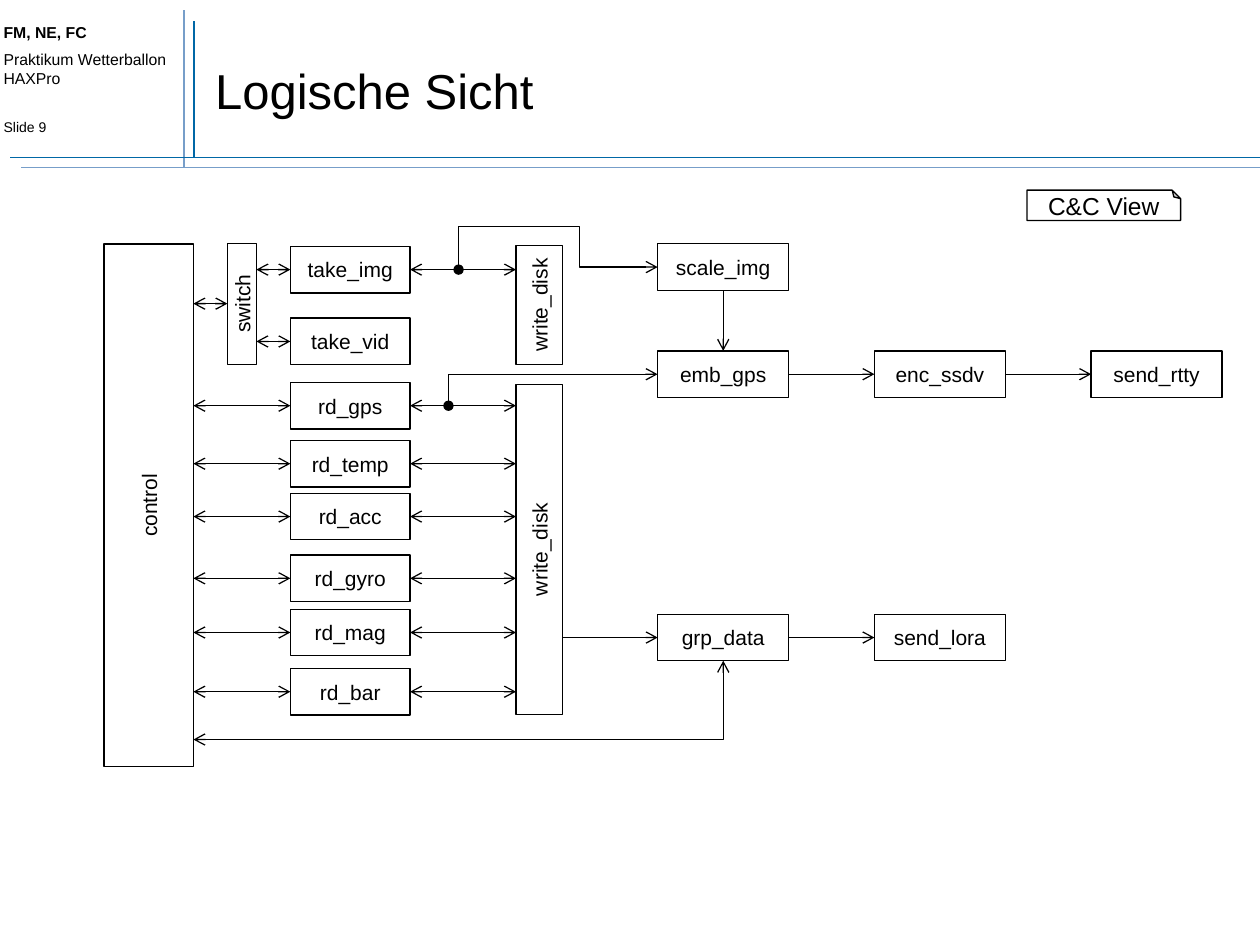
from dataclasses import dataclass

from lxml.etree import SubElement
from pptx import Presentation
from pptx.dml.color import RGBColor
from pptx.enum.shapes import MSO_CONNECTOR as Connector, MSO_SHAPE as Shape
from pptx.enum.text import MSO_ANCHOR as Anchor, PP_ALIGN as Align
from pptx.oxml.ns import qn
from pptx.util import Inches, Pt


@dataclass(frozen=True)
class Theme:
    font: str = "Arial"
    ink: RGBColor = RGBColor(0x00, 0x00, 0x00)
    paper: RGBColor = RGBColor(0xFF, 0xFF, 0xFF)
    dark_rule: RGBColor = RGBColor(0x00, 0x67, 0xA6)
    light_rule: RGBColor = RGBColor(0x77, 0x9E, 0xC9)
    title: int = 28
    view: int = 14
    label: int = 12
    header: int = 9
    number: int = 8
    outline: float = 0.75
    rule: float = 1


theme = Theme()
presentation = Presentation()
presentation.slide_width, presentation.slide_height = Inches(10), Inches(7.5)
slide = presentation.slides.add_slide(presentation.slide_layouts[6])
shapes = slide.shapes


def write(paragraph, text, size, bold=False):
    paragraph.text = text
    font = paragraph.font
    font.name, font.size, font.bold = theme.font, Pt(size), bold
    font.color.rgb = theme.ink


def connect(start, end, head=None, tail=None, preset="line", color=theme.ink, width=theme.outline):
    """Draw a line between two (x, y) points in inches; head sits at the start."""
    kind = Connector.STRAIGHT if preset == "line" else Connector.ELBOW
    line = shapes.add_connector(kind, *map(Inches, (*start, *end)))
    line.line.color.rgb = color
    line.line.width = Pt(width)
    properties = line._element.spPr
    properties.find(qn("a:prstGeom")).set("prst", preset)
    outline = properties.find(qn("a:ln"))
    for tag, ending in (("a:headEnd", head), ("a:tailEnd", tail)):
        if ending:
            SubElement(outline, qn(tag), type=ending)
    SubElement(properties, qn("a:effectLst"))


# Header rules, title and course details
for start, end, color in (
    ((1.54, 1.25), (1.54, 0.17), theme.dark_rule),
    ((1.46, 1.33), (1.46, 0.08), theme.light_rule),
    ((0.08, 1.25), (10, 1.25), theme.dark_rule),
    ((0.17, 1.33), (10, 1.33), theme.light_rule),
):
    connect(start, end, color=color, width=theme.rule)

title = shapes.add_textbox(*map(Inches, (1.61, 0.25, 8.27, 0.92))).text_frame
title.word_wrap = True
title.vertical_anchor = Anchor.MIDDLE
write(title.paragraphs[0], "Logische Sicht", theme.title)

header = shapes.add_textbox(*map(Inches, (-0.07, 0.13, 1.61, 1.04))).text_frame
header.word_wrap = True
for index, (text, size, bold, gap) in enumerate((
    ("FM, NE, FC", theme.header, True, 0),
    ("Praktikum Wetterballon HAXPro", theme.header, False, 4.5),
    ("Slide 9", theme.number, False, 18),
)):
    paragraph = header.add_paragraph() if index else header.paragraphs[0]
    write(paragraph, text, size, bold)
    paragraph.space_before = Pt(gap)

# Grid: centre lines of the columns and rows
control_x, switch_x, sensor_x, disk_x = 1.18, 1.92, 2.78, 4.28
process_x, encode_x, send_x = (5.74 + 1.72 * step for step in range(3))
camera_rows = {"take_img": 2.14, "take_vid": 2.71}
sensor_rows = {"rd_gps": 3.22, "rd_temp": 3.68, "rd_acc": 4.1,
               "rd_gyro": 4.59, "rd_mag": 5.02, "rd_bar": 5.49}
image_y, image_chain_y, data_chain_y, switch_y = 2.12, 2.97, 5.06, 2.41
box_height, sensor_width, process_width = 0.37, 0.95, 1.04
control_width, switch_width = 0.71, 0.23

control_right = control_x + control_width / 2
switch_left, switch_right = switch_x - switch_width / 2, switch_x + switch_width / 2
sensor_left, sensor_right = sensor_x - sensor_width / 2, sensor_x + sensor_width / 2
disk_left, disk_right = disk_x - box_height / 2, disk_x + box_height / 2
half_process, half_height = process_width / 2, box_height / 2

# Components: label, centre, length, thickness, rotation
components = [
    ("control", control_x, 4.01, 4.15, control_width, 270),
    ("switch", switch_x, switch_y, 0.96, switch_width, 270),
    ("write_disk", disk_x, 2.42, 0.94, box_height, 270),
    ("write_disk", disk_x, 4.36, 2.62, box_height, 270),
]
components += [(label, sensor_x, y, sensor_width, box_height, 0)
               for label, y in (camera_rows | sensor_rows).items()]
components += [(label, x, y, process_width, box_height, 0) for label, x, y in (
    ("scale_img", process_x, image_y),
    ("emb_gps", process_x, image_chain_y),
    ("enc_ssdv", encode_x, image_chain_y),
    ("send_rtty", send_x, image_chain_y),
    ("grp_data", process_x, data_chain_y),
    ("send_lora", encode_x, data_chain_y),
)]
view_label = ("C&C View", 8.76, 1.63, 1.22, 0.24, 0)

for label, x, y, width, height, rotation in components + [view_label]:
    is_view = label == view_label[0]
    box = shapes.add_shape(Shape.FOLDED_CORNER if is_view else Shape.RECTANGLE,
                           *map(Inches, (x - width / 2, y - height / 2, width, height)))
    box.rotation = rotation
    box.shadow.inherit = False
    box.fill.solid()
    box.fill.fore_color.rgb = theme.paper
    box.line.color.rgb = theme.ink
    box.line.width = Pt(theme.outline)
    frame = box.text_frame
    frame.vertical_anchor = Anchor.MIDDLE
    frame.word_wrap = not is_view
    paragraph = frame.paragraphs[0]
    paragraph.alignment = Align.CENTER
    write(paragraph, label, theme.view if is_view else theme.label)
    if is_view:
        # The fold is at the top, so the text is turned back upright
        paragraph.line_spacing = 0.7
        properties = box._element.spPr
        properties.find(qn("a:xfrm")).set("flipV", "1")
        guides = properties.find(qn("a:prstGeom")).get_or_add_avLst()
        SubElement(guides, qn("a:gd"), name="adj", fmla="val 28000")
        box._element.txBody.find(qn("a:bodyPr")).set("rot", "10800000")

# Two-way links
two_way = [((control_right, switch_y), (switch_left, switch_y)),
           ((sensor_right, camera_rows["take_img"]), (disk_left, camera_rows["take_img"]))]
two_way += [((switch_right, y), (sensor_left, y)) for y in camera_rows.values()]
for y in sensor_rows.values():
    two_way += [((control_right, y), (sensor_left, y)), ((sensor_right, y), (disk_left, y))]
for start, end in two_way:
    connect(start, end, "arrow", "arrow")
connect((control_right, 5.87), (process_x, data_chain_y + half_height),
        "arrow", "arrow", "bentConnector2")

# One-way links
for start, end in (
    ((process_x, image_y + half_height), (process_x, image_chain_y - half_height)),
    ((process_x + half_process, image_chain_y), (encode_x - half_process, image_chain_y)),
    ((encode_x + half_process, image_chain_y), (send_x - half_process, image_chain_y)),
    ((disk_right, data_chain_y), (process_x - half_process, data_chain_y)),
    ((process_x + half_process, data_chain_y), (encode_x - half_process, data_chain_y)),
):
    connect(start, end, tail="arrow")

# Branches that leave a link at a dot
bypass = (3.98, 1.8)
process_left = process_x - half_process
connect((process_left, image_y), bypass, "arrow", preset="bentConnector3")
connect(bypass, (3.64, camera_rows["take_img"]), tail="oval", preset="bentConnector2")
connect((process_left, image_chain_y), (3.56, sensor_rows["rd_gps"]),
        "arrow", "oval", "bentConnector2")

presentation.save("out.pptx")
